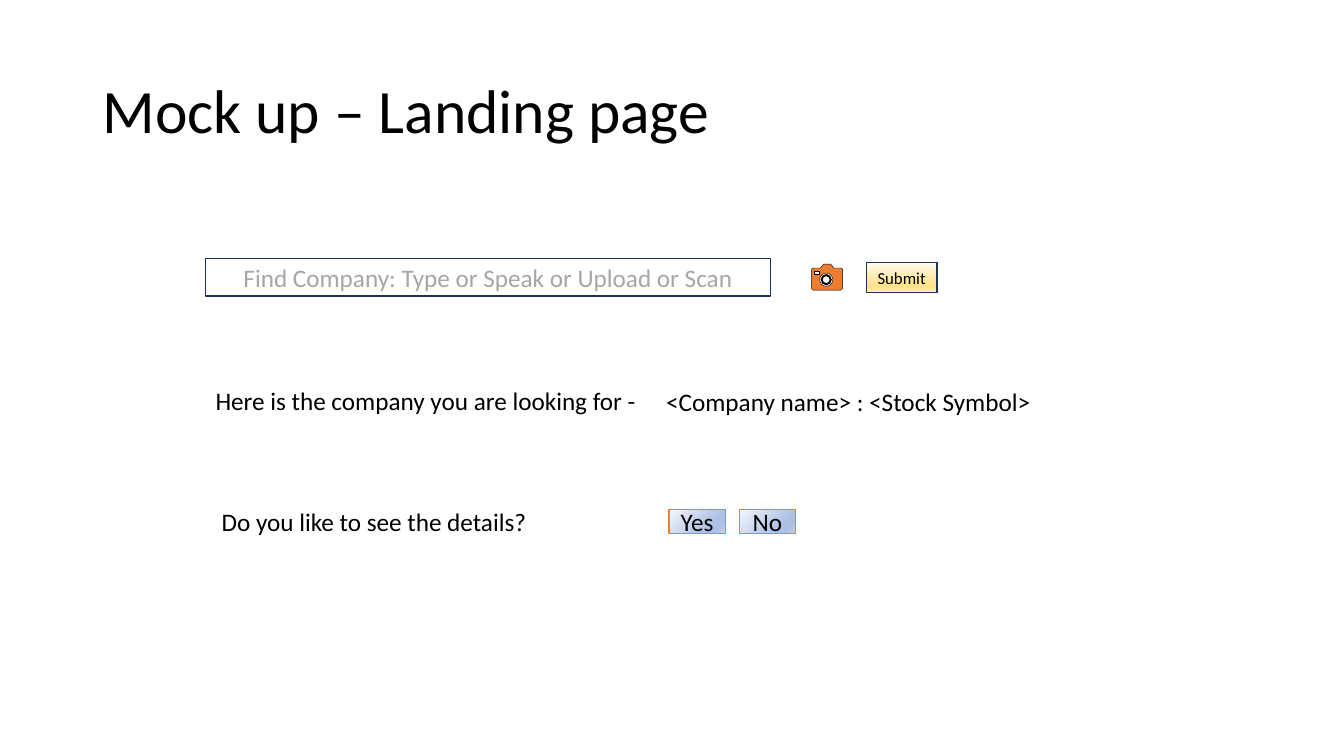
from dataclasses import dataclass
from itertools import chain

from lxml import etree
from pptx import Presentation
from pptx.dml.color import RGBColor
from pptx.enum.shapes import MSO_SHAPE
from pptx.enum.text import MSO_ANCHOR, MSO_AUTO_SIZE, PP_ALIGN
from pptx.oxml.ns import qn
from pptx.shapes.autoshape import Shape
from pptx.shapes.shapetree import SlideShapes
from pptx.util import Pt

RECTANGLE = MSO_SHAPE.RECTANGLE
MIDDLE, TOP = MSO_ANCHOR.MIDDLE, MSO_ANCHOR.TOP
CENTER, LEFT = PP_ALIGN.CENTER, PP_ALIGN.LEFT
GROW, FIXED = MSO_AUTO_SIZE.SHAPE_TO_FIT_TEXT, MSO_AUTO_SIZE.NONE

BLACK = RGBColor(0x00, 0x00, 0x00)
WHITE = RGBColor(0xFF, 0xFF, 0xFF)
GREY = RGBColor(0xA6, 0xA6, 0xA6)
NAVY = RGBColor(0x1E, 0x32, 0x56)
ORANGE = RGBColor(0xED, 0x7D, 0x31)
BLUE_PALE = RGBColor(0xF6, 0xF8, 0xFC)
BLUE_MID = RGBColor(0xAB, 0xC0, 0xE4)
BLUE_END = RGBColor(0xC7, 0xD5, 0xED)
GOLD_PALE = RGBColor(0xFF, 0xFC, 0xF2)
GOLD_MID = RGBColor(0xFF, 0xE3, 0x8C)
GOLD_END = RGBColor(0xFF, 0xEC, 0xB2)

FONT = "Calibri"
ARC = 0.55
Point = tuple[float, float]


@dataclass(frozen=True)
class Gradient:
    pale: RGBColor
    mid: RGBColor
    end: RGBColor
    angle: int


@dataclass(frozen=True)
class Label:
    text: str
    left: float
    top: float
    width: float
    height: float = 29
    size: float = 18
    anchor: MSO_ANCHOR = TOP
    fit: MSO_AUTO_SIZE = GROW
    line_spacing: float = 1.0


@dataclass(frozen=True)
class Control:
    text: str
    left: float
    top: float
    width: float
    height: float
    fill: RGBColor | Gradient
    border: RGBColor
    color: RGBColor = BLACK
    size: float = 18


@dataclass(frozen=True)
class Contour:
    start: Point
    steps: list[list[Point]]


BLUE = Gradient(BLUE_PALE, BLUE_MID, BLUE_END, 45)
GOLD = Gradient(GOLD_PALE, GOLD_MID, GOLD_END, 90)

LABELS = [
    Label("Mock up – Landing page", 66.24, 28.8, 828, 104.4, 44, MIDDLE, FIXED, 0.9),
    Label("Here is the company you are looking for -", 146.88, 271.44, 321.84),
    Label("<Company name> : <Stock Symbol>", 468.72, 272.16, 294.48),
    Label("Do you like to see the details?", 151.2, 358.2, 321.84),
]
CONTROLS = [
    Control("Yes", 477.75, 364, 40.32, 17.28, BLUE, ORANGE),
    Control("No", 528.1, 364, 40.32, 17.28, BLUE, ORANGE),
    Control("Find Company: Type or Speak or Upload or Scan",
            146.6, 184.7, 403.92, 26.64, WHITE, NAVY, GREY),
    Control("Submit", 618.85, 187.3, 50.4, 21.6, GOLD, NAVY, BLACK, 12),
]

VIEWFINDER = Contour((585.4, 195.8), [[(581.8, 195.8)], [(581.8, 193.7)], [(585.4, 193.7)]])
BODY = Contour((600.5, 191.5), [
    [(595.6, 191.5)], [(593.4, 188.7)], [(588.3, 188.7)], [(586.1, 191.5)], [(581.1, 191.5)],
    [(580.3, 191.5), (579.7, 192.1), (579.7, 192.9)], [(579.7, 205.9)],
    [(579.7, 206.7), (580.3, 207.3), (581.1, 207.3)], [(600.5, 207.3)],
    [(601.3, 207.3), (601.9, 206.7), (601.9, 205.9)], [(601.9, 192.9)],
    [(601.9, 192.1), (601.3, 191.5), (600.5, 191.5)],
])


def circle(radius: float, x: float = 590.2, y: float = 199.8) -> Contour:
    quarters = [
        [(dx + ARC * ex, dy + ARC * ey), (ex + ARC * dx, ey + ARC * dy), (ex, ey)]
        for (dx, dy), (ex, ey) in (((0, 1), (-1, 0)), ((-1, 0), (0, -1)),
                                   ((0, -1), (1, 0)), ((1, 0), (0, 1)))
    ]
    return Contour((x, y + radius), [[(x + radius * u, y + radius * v) for u, v in quarter]
                                     for quarter in quarters])


def write(shape: Shape, text: str, size: float, color: RGBColor,
          align: PP_ALIGN, line_spacing: float = 1.0) -> None:
    paragraph = shape.text_frame.paragraphs[0]
    paragraph.alignment = align
    paragraph.line_spacing = line_spacing
    run = paragraph.add_run()
    run.text = text
    run.font.name = FONT
    run.font.size = Pt(size)
    run.font.color.rgb = color


def paint(shape: Shape, fill: RGBColor | Gradient) -> None:
    if isinstance(fill, RGBColor):
        shape.fill.solid()
        shape.fill.fore_color.rgb = fill
        return
    shape.fill.gradient()
    shape.fill.gradient_angle = 360 - fill.angle
    stops = next(shape._element.spPr.iter(qn("a:gsLst")))
    for stop in list(stops):
        stops.remove(stop)
    for percent, color in ((0, fill.pale), (74, fill.mid), (83, fill.mid), (100, fill.end)):
        stop = etree.SubElement(stops, qn("a:gs"), pos=str(percent * 1000))
        etree.SubElement(stop, qn("a:srgbClr"), val=str(color))


def add_label(shapes: SlideShapes, label: Label) -> None:
    box = shapes.add_textbox(Pt(label.left), Pt(label.top), Pt(label.width), Pt(label.height))
    frame = box.text_frame
    frame.word_wrap = True
    frame.auto_size = label.fit
    frame.vertical_anchor = label.anchor
    write(box, label.text, label.size, BLACK, LEFT, label.line_spacing)


def add_control(shapes: SlideShapes, control: Control) -> None:
    box = shapes.add_shape(RECTANGLE, Pt(control.left), Pt(control.top),
                           Pt(control.width), Pt(control.height))
    box.shadow.inherit = False
    paint(box, control.fill)
    box.line.color.rgb = control.border
    box.line.width = Pt(1)
    box.text_frame.vertical_anchor = MIDDLE
    write(box, control.text, control.size, control.color, CENTER)


def bend(outline: Shape, contours: list[Contour]) -> None:
    segments = iter(list(outline._element.spPr.iter(qn("a:lnTo"))))
    for step in chain.from_iterable(contour.steps for contour in contours):
        first, *others = [next(segments) for _ in step]
        if others:
            first.tag = qn("a:cubicBezTo")
            for segment in others:
                first.append(segment[0])
                segment.getparent().remove(segment)


def add_outline(shapes: SlideShapes, contours: list[Contour], fill: RGBColor) -> Shape:
    builder = shapes.build_freeform(*map(Pt, contours[0].start))
    for index, contour in enumerate(contours):
        if index:
            builder.move_to(*map(Pt, contour.start))
        points = chain.from_iterable(contour.steps)
        builder.add_line_segments([(Pt(x), Pt(y)) for x, y in points], close=False)
        builder._add_close()
    outline = builder.convert_to_shape()
    bend(outline, contours)
    outline.shadow.inherit = False
    paint(outline, fill)
    outline.line.fill.background()
    return outline


def main() -> None:
    deck = Presentation()
    deck.slide_width, deck.slide_height = Pt(960), Pt(540)
    shapes = deck.slides.add_slide(deck.slide_layouts[6]).shapes
    for label in LABELS:
        add_label(shapes, label)
    for control in CONTROLS:
        add_control(shapes, control)
    camera = add_outline(shapes, [circle(4.7), VIEWFINDER, BODY], ORANGE)
    camera.line.color.rgb = BLACK
    camera.line.width = Pt(0.27)
    add_outline(shapes, [circle(2.5), circle(4)], BLACK)
    deck.save("out.pptx")


if __name__ == "__main__":
    main()
